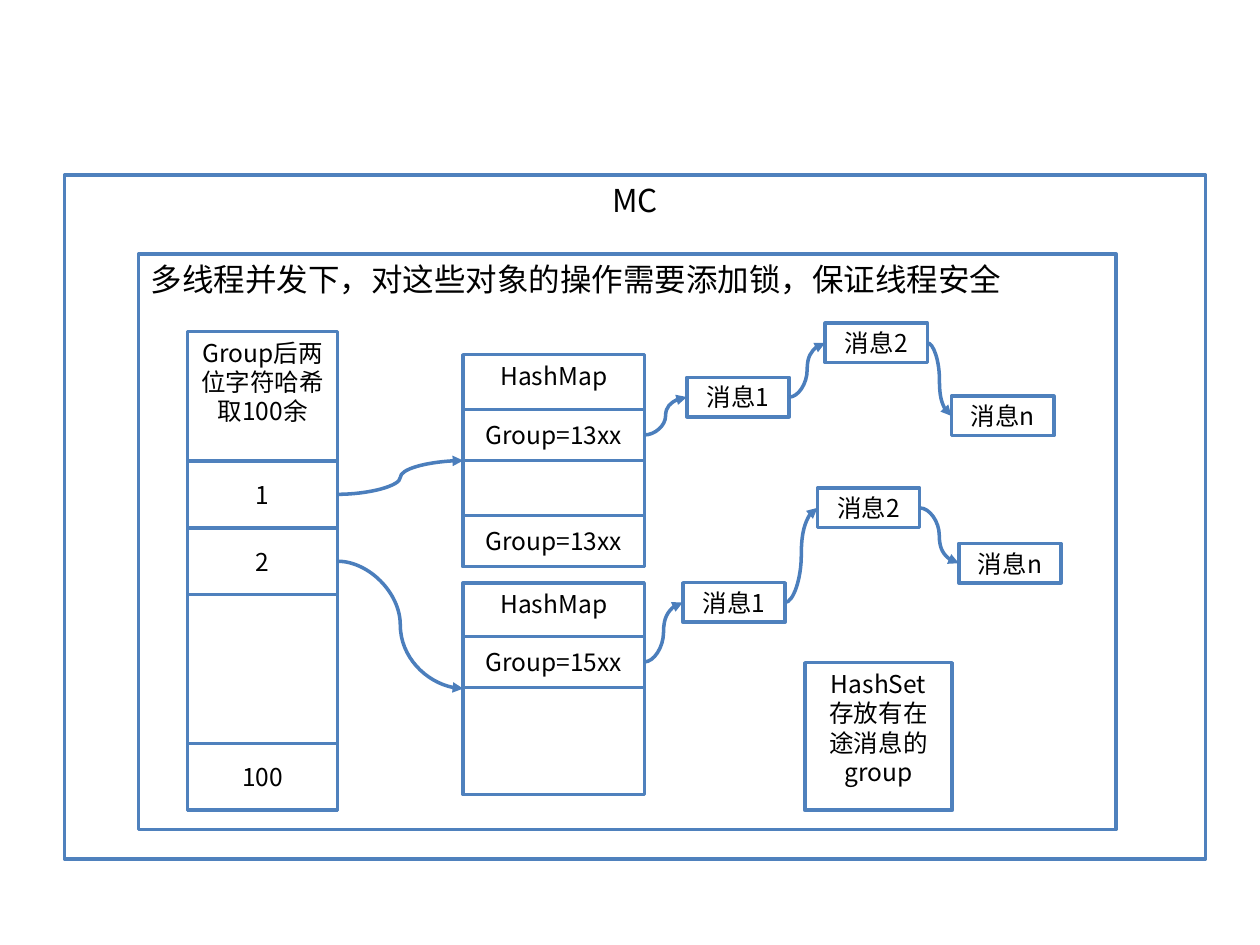
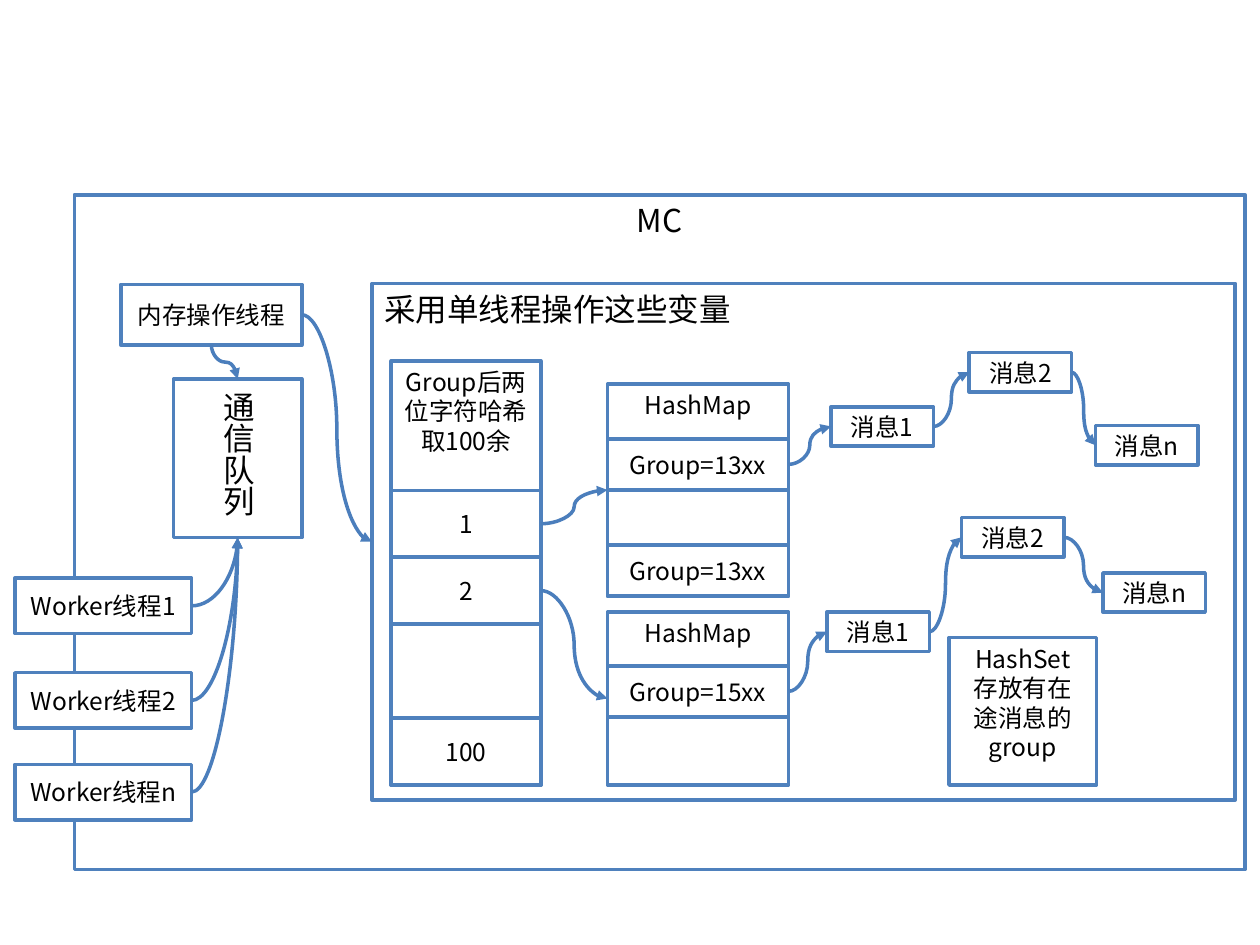
from lxml import etree
from pptx import Presentation
from pptx.dml.color import RGBColor
from pptx.enum import shapes, text
from pptx.oxml import ns
from pptx.util import Pt

FONT = "Noto Sans CJK SC"
WHITE, BLACK, BLUE, ARROW = "FFFFFF", "000000", "4F81BD", "4B7EBC"
TOP, LEFT, BOTTOM, RIGHT = range(4)
BUCKET_W, BUCKET_H = 85.5, 38.2
MAP_W, MAP_H, MAP_STEP, ENTRY_H = 103.5, 121, 130.3, 29
MSG_W, MSG_H = 58.5, 22.5
SET_SIZE = 84.3


def color(value):
    return RGBColor.from_string(value)


def add_box(s, x, y, w, h, *lines, size=14, middle=True, center=True, vertical=False):
    sp = s.shapes.add_shape(shapes.MSO_SHAPE.RECTANGLE, Pt(x), Pt(y), Pt(w), Pt(h))
    sp.shadow.inherit = False
    sp.fill.solid()
    sp.fill.fore_color.rgb = color(WHITE)
    sp.line.color.rgb = color(BLUE)
    sp.line.width = Pt(2)
    tf = sp.text_frame
    tf.word_wrap = True
    tf.vertical_anchor = text.MSO_ANCHOR.MIDDLE if middle else text.MSO_ANCHOR.TOP
    if vertical:
        tf._txBody.bodyPr.set("vert", "eaVert")
    for i, line in enumerate(lines):
        p = tf.add_paragraph() if i else tf.paragraphs[0]
        p.alignment = text.PP_ALIGN.CENTER if center else text.PP_ALIGN.LEFT
        r = p.add_run()
        r.text = line
        r.font.size = Pt(size)
        r.font.name = FONT
        r.font.color.rgb = color(BLACK)
        etree.SubElement(r.font._element, ns.qn("a:ea"), typeface=FONT)
    return sp


def site(sp, side):
    x = {LEFT: 0, RIGHT: sp.width}.get(side, sp.width // 2)
    y = {TOP: 0, BOTTOM: sp.height}.get(side, sp.height // 2)
    return sp.left + x, sp.top + y


def add_arrow(s, start, end, out=RIGHT, into=LEFT):
    c = s.shapes.add_connector(shapes.MSO_CONNECTOR.CURVE, *site(start, out), *site(end, into))
    c.begin_connect(start, out)
    c.end_connect(end, into)
    c.line.color.rgb = color(ARROW)
    c.line.width = Pt(2)
    pr = c._element.spPr
    etree.SubElement(c.line._get_or_add_ln(), ns.qn("a:tailEnd"), type="triangle")
    etree.SubElement(pr, ns.qn("a:effectLst"))
    if into == BOTTOM:
        pr.find(ns.qn("a:prstGeom")).set("prst", "curvedConnector2")
    if out == BOTTOM:
        x, y, w, h = c.left, c.top, c.width, c.height
        c.left, c.top = x + (w - h) // 2, y + (h - w) // 2
        c.width, c.height = h, w
        xfrm = pr.find(ns.qn("a:xfrm"))
        xfrm.set("rot", "16200000")
        xfrm.set("flipH", "1")


def add_buckets(s, x, y, h):
    add_box(s, x, y, BUCKET_W, h, "Group后两位字符哈希取100余", middle=False)
    first = y + 74
    tops = (first, first + BUCKET_H, y + h - BUCKET_H)
    return [add_box(s, x, top, BUCKET_W, BUCKET_H, label)
            for top, label in zip(tops, ("1", "2", "100"))]


def add_map(s, x, y, h, bucket, group, entry_tops, offsets):
    table = add_box(s, x, y, MAP_W, h, "HashMap", middle=False)
    entries = [add_box(s, x, y + top, MAP_W, ENTRY_H, group) for top in entry_tops]
    add_arrow(s, bucket, table)
    previous = entries[0]
    for (dx, dy), label in zip(offsets, ("消息1", "消息2", "消息n")):
        message = add_box(s, x + dx, y + dy, MSG_W, MSG_H, label)
        add_arrow(s, previous, message)
        previous = message


def add_memory(s, x, y, w, h, title, bucket_dx, map_dx, map2_h, bottom_gap):
    frame = add_box(s, x, y, w, h, title, size=18, middle=False, center=False)
    top, bottom = y + 44.2, y + h - bottom_gap
    buckets = add_buckets(s, x + bucket_dx, top, bottom - top)
    map_x, map_y = x + map_dx, y + 57.5
    add_map(s, map_x, map_y, MAP_H, buckets[0], "Group=13xx", (31.4, 92),
            ((127.8, 13), (206.8, -18), (279, 23.7)))
    add_map(s, map_x, map_y + MAP_STEP, map2_h, buckets[1], "Group=15xx", (30.8,),
            ((125.5, 0), (202.4, -54), (283.2, -22.4)))
    add_box(s, map_x + 195.2, bottom - SET_SIZE, SET_SIZE, SET_SIZE,
            "HashSet", "存放有在途消息的group", middle=False)
    return frame


def add_threads(s, x, y, memory):
    operator = add_box(s, x + 60.5, y, 103.5, 34.6, "内存操作线程")
    queue = add_box(s, x + 90.6, y + 54, 73.4, 90.7, "通信队列", size=18, vertical=True)
    add_arrow(s, operator, memory)
    add_arrow(s, operator, queue, BOTTOM, TOP)
    for dy, label in ((167.8, "1"), (221.8, "2"), (274.2, "n")):
        worker = add_box(s, x, y + dy, 101, 31.7, "Worker线程" + label)
        add_arrow(s, worker, queue, RIGHT, BOTTOM)


def add_mc_slide(prs, x, y, w, h):
    s = prs.slides.add_slide(prs.slide_layouts[6])
    add_box(s, x, y, w, h, "MC", size=18, middle=False)
    return s


prs = Presentation()
prs.slide_width, prs.slide_height = Pt(720), Pt(540)

s = add_mc_slide(prs, 36.9, 100, 652, 391)
add_memory(s, 79.1, 145.2, 558.8, 328.8, "多线程并发下，对这些对象的操作需要添加锁，保证线程安全",
           28.2, 185.6, MAP_H, 11)

s = add_mc_slide(prs, 42.5, 111.3, 669, 385.6)
memory = add_memory(s, 212.5, 162, 493.4, 295.2, "采用单线程操作这些变量",
                    11.1, 134.6, 98.7, 8.6)
add_threads(s, 8.5, 162.6, memory)

prs.save("out.pptx")
